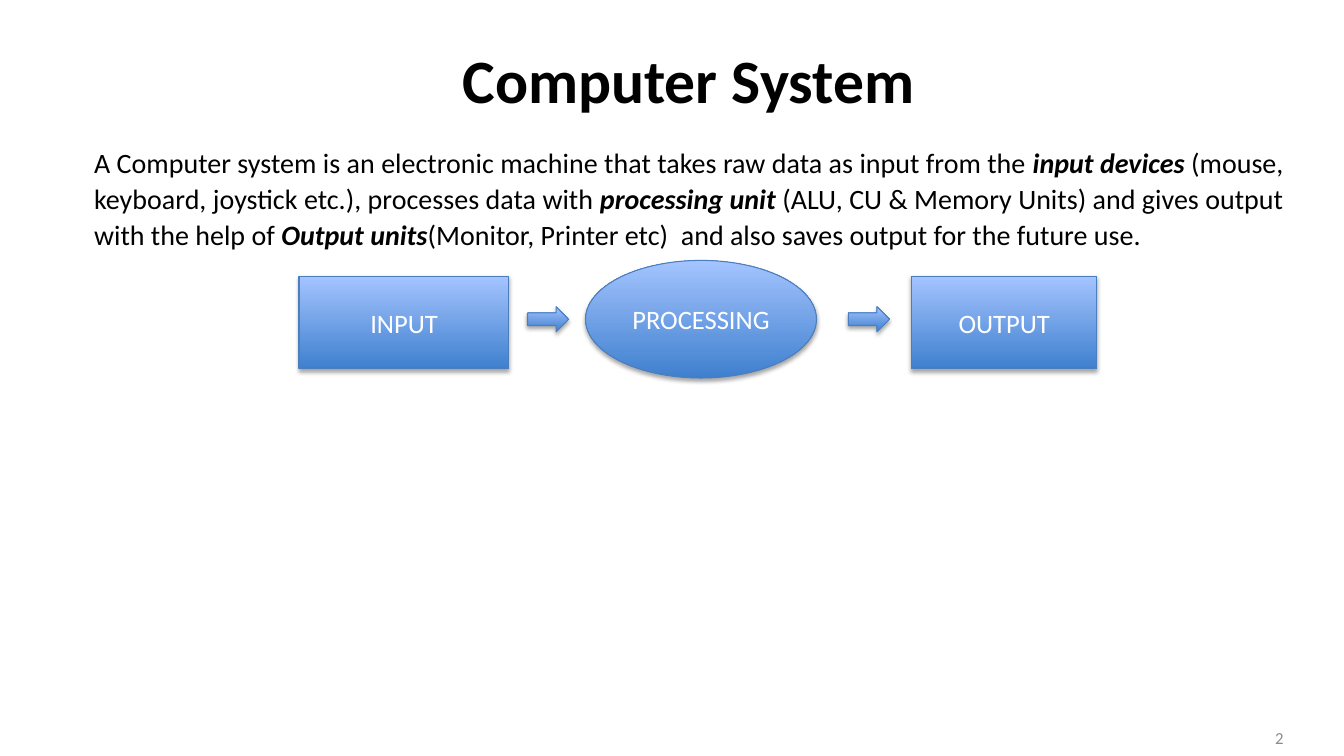
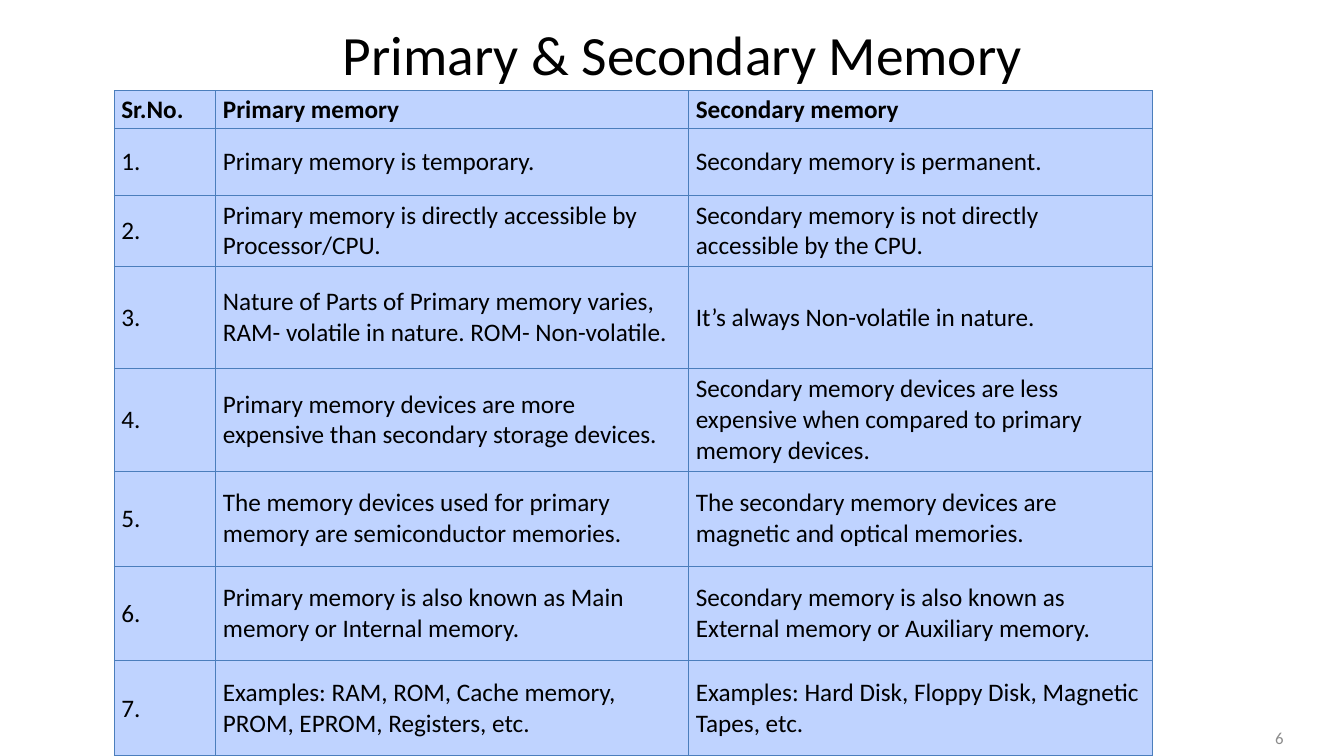
from dataclasses import dataclass

import pptx
import pptx.dml.color
import pptx.enum.shapes
import pptx.enum.text
import pptx.oxml
import pptx.oxml.ns
import pptx.util

Pt = pptx.util.Pt
ShapeKind = pptx.enum.shapes.MSO_SHAPE
Align = pptx.enum.text.PP_ALIGN
Anchor = pptx.enum.text.MSO_ANCHOR

# Shared look: a slide of 16 columns by 9 rows, with square grid units
SLIDE_WIDTH, SLIDE_HEIGHT = pptx.util.Inches(13.333), pptx.util.Inches(7.5)
COLUMNS, ROWS = 16, 9
MARGIN_COLUMN, CONTENT_COLUMNS = 1, 14.4
FONT = "Calibri"
BLACK, WHITE, GREY = "000000", "FFFFFF", "8C8C8C"
LINE_BLUE, DARK_BLUE, LIGHT_BLUE, CELL_BLUE = "4B7EBC", "3F80CE", "A4C4FF", "BFD3FF"
LINE_WIDTH = Pt(0.75)


@dataclass(frozen=True)
class Area:
    """A place on the grid, in columns and rows."""
    column: float
    row: float
    columns: float
    rows: float

    def box(self) -> tuple[int, int, int, int]:
        return (across(self.column), down(self.row),
                across(self.columns), down(self.rows))


@dataclass(frozen=True)
class FlowPart:
    kind: ShapeKind
    area: Area
    label: str = ""


@dataclass(frozen=True)
class Phrase:
    text: str
    strong: bool = False


TITLE_AREA = Area(MARGIN_COLUMN, 0.22, CONTENT_COLUMNS, 1.43)
LOW_TITLE_AREA = Area(MARGIN_COLUMN, 0.18, CONTENT_COLUMNS, 0.91)
BODY_AREA = Area(MARGIN_COLUMN, 1.64, CONTENT_COLUMNS, 6.22)
NUMBER_AREA = Area(11.67, 8.54, 3.73, 0.48)

DEFINITION = [
    Phrase("A Computer system is an electronic machine that takes raw data as input from the "),
    Phrase("input devices ", True),
    Phrase("(mouse, keyboard, joystick etc.), processes data with "),
    Phrase("processing unit ", True),
    Phrase("(ALU, CU & Memory Units) and gives output with the help of "),
    Phrase("Output units", True),
    Phrase("(Monitor, Printer etc)  and also saves output for the future use. "),
]

FLOW = [
    FlowPart(ShapeKind.RECTANGLE, Area(3.56, 3.29, 2.5, 1.1), "INPUT"),
    FlowPart(ShapeKind.RIGHT_ARROW, Area(6.28, 3.65, 0.49, 0.3)),
    FlowPart(ShapeKind.OVAL, Area(6.97, 3.1, 2.75, 1.4), "PROCESSING"),
    FlowPart(ShapeKind.RIGHT_ARROW, Area(10.1, 3.65, 0.49, 0.3)),
    FlowPart(ShapeKind.RECTANGLE, Area(10.85, 3.29, 2.21, 1.1), "OUTPUT"),
]

TABLE_COLUMN, TABLE_ROW = 1.36, 1.08
TABLE_WIDTHS = [1.21, 5.63, 5.52]
TABLE_HEIGHTS = [0.45, 0.8, 0.84, 1.22, 1.22, 1.13, 1.13, 1.13]
TABLE_HEADER = ("Sr.No.", "Primary memory", "Secondary memory")
COMPARISON = [
    ("Primary memory is temporary.",
     "Secondary memory is permanent."),
    ("Primary memory is directly accessible by Processor/CPU.",
     "Secondary memory is not directly accessible by the CPU."),
    ("Nature of Parts of Primary memory varies, RAM- volatile in nature. ROM- Non-volatile.",
     "It’s always Non-volatile in nature."),
    ("Primary memory devices are more expensive than secondary storage devices.",
     "Secondary memory devices are less expensive when compared to primary memory devices."),
    ("The memory devices used for primary memory are semiconductor memories.",
     "The secondary memory devices are magnetic and optical memories."),
    ("Primary memory is also known as Main memory or Internal memory.",
     "Secondary memory is also known as External memory or Auxiliary memory."),
    ("Examples: RAM, ROM, Cache memory, PROM, EPROM, Registers, etc.",
     "Examples: Hard Disk, Floppy Disk, Magnetic Tapes, etc."),
]


# Helpers
def across(columns: float) -> int:
    return round(SLIDE_WIDTH * columns / COLUMNS)


def down(rows: float) -> int:
    return round(SLIDE_HEIGHT * rows / ROWS)


def color(hex_string: str) -> pptx.dml.color.RGBColor:
    return pptx.dml.color.RGBColor.from_string(hex_string)


def xml(markup: str):
    """Parse one drawing element, given without its closing bracket's namespace."""
    head, rest = markup.split(" ", 1)
    return pptx.oxml.parse_xml(f"{head} {pptx.oxml.ns.nsdecls('a')} {rest}")


def place(shape, area: Area) -> None:
    shape.left, shape.top, shape.width, shape.height = area.box()


def format_paragraph(paragraph, size: float, hex_string: str,
                     bold: bool = False, align: Align = Align.LEFT) -> None:
    paragraph.alignment = align
    for run in paragraph.runs:
        run.font.name, run.font.size, run.font.bold = FONT, Pt(size), bold
        run.font.color.rgb = color(hex_string)


def add_slide(presentation, layout: int, title: str, title_area: Area,
              title_size: float, number: str, bold: bool = False):
    """Add a slide with its title and its page number."""
    slide = presentation.slides.add_slide(presentation.slide_layouts[layout])
    place(slide.shapes.title, title_area)
    frame = slide.shapes.title.text_frame
    frame.text = title
    frame.auto_size = pptx.enum.text.MSO_AUTO_SIZE.NONE
    format_paragraph(frame.paragraphs[0], title_size, BLACK, bold, Align.CENTER)

    frame = slide.shapes.add_textbox(*NUMBER_AREA.box()).text_frame
    frame.word_wrap = True
    frame.vertical_anchor = Anchor.MIDDLE
    frame.text = number
    format_paragraph(frame.paragraphs[0], 12, GREY, align=Align.RIGHT)
    return slide


def fill_body(body, phrases: list[Phrase]) -> None:
    place(body, BODY_AREA)
    body.text_frame.auto_size = pptx.enum.text.MSO_AUTO_SIZE.NONE
    paragraph = body.text_frame.paragraphs[0]
    for phrase in phrases:
        paragraph.add_run().text = phrase.text
    format_paragraph(paragraph, 20, BLACK, align=Align.JUSTIFY)
    for run, phrase in zip(paragraph.runs, phrases):
        run.font.bold = run.font.italic = phrase.strong
    paragraph.line_spacing = 1.07
    paragraph.space_after = Pt(8)
    properties = paragraph._p.get_or_add_pPr()
    properties.set("marL", "0")
    properties.set("indent", "0")
    properties.append(xml("<a:buNone />"))


def add_flow_part(slide, part: FlowPart) -> None:
    shape = slide.shapes.add_shape(part.kind, *part.area.box())
    shape.fill.gradient()
    shape.fill.gradient_angle = 90
    for stop, hex_string in zip(shape.fill.gradient_stops, (DARK_BLUE, LIGHT_BLUE)):
        stop.color.rgb = color(hex_string)
    shape.line.color.rgb = color(LINE_BLUE)
    shape.line.width = LINE_WIDTH
    # Soft shadow straight below the shape
    shape.shadow.inherit = False
    effects = shape._element.spPr.find(pptx.oxml.ns.qn("a:effectLst"))
    effects.append(xml(
        f'<a:outerShdw blurRad="{Pt(3.1)}" dist="{Pt(1.8)}" dir="5400000" rotWithShape="0">'
        f'<a:srgbClr val="{BLACK}"><a:alpha val="35000"/></a:srgbClr></a:outerShdw>'))
    if part.label:
        shape.text_frame.text = part.label
        shape.text_frame.vertical_anchor = Anchor.MIDDLE
        format_paragraph(shape.text_frame.paragraphs[0], 19, WHITE, align=Align.CENTER)


def format_cell(cell, text: str, bold: bool) -> None:
    cell.text = text
    cell.vertical_anchor = Anchor.MIDDLE
    cell.margin_left = cell.margin_right = pptx.util.Inches(0.07)
    cell.margin_top = cell.margin_bottom = pptx.util.Inches(0.03)
    format_paragraph(cell.text_frame.paragraphs[0], 18, BLACK, bold)
    properties = cell._tc.get_or_add_tcPr()
    for side in "LRTB":
        properties.append(xml(
            f'<a:ln{side} w="{LINE_WIDTH}"><a:solidFill><a:srgbClr val="{LINE_BLUE}"/>'
            f'</a:solidFill></a:ln{side}>'))
    cell.fill.solid()
    cell.fill.fore_color.rgb = color(CELL_BLUE)


def add_comparison(slide) -> None:
    rows = [TABLE_HEADER] + [(f"{number}.", *pair)
                             for number, pair in enumerate(COMPARISON, 1)]
    area = Area(TABLE_COLUMN, TABLE_ROW, sum(TABLE_WIDTHS), sum(TABLE_HEIGHTS))
    table = slide.shapes.add_table(len(rows), len(TABLE_WIDTHS), *area.box()).table
    table.first_row = table.horz_banding = False
    for column, width in zip(table.columns, TABLE_WIDTHS):
        column.width = across(width)
    for row, height in zip(table.rows, TABLE_HEIGHTS):
        row.height = down(height)
    for row_index, texts in enumerate(rows):
        for column_index, text in enumerate(texts):
            format_cell(table.cell(row_index, column_index), text, row_index == 0)


def main() -> None:
    presentation = pptx.Presentation()
    presentation.slide_width, presentation.slide_height = SLIDE_WIDTH, SLIDE_HEIGHT

    # Computer system: definition and flow
    slide = add_slide(presentation, 1, "Computer System", TITLE_AREA, 44, "2", bold=True)
    fill_body(slide.placeholders[1], DEFINITION)
    for part in FLOW:
        add_flow_part(slide, part)

    # Memory comparison table
    slide = add_slide(presentation, 5, "Primary & Secondary Memory ",
                      LOW_TITLE_AREA, 39.6, "6")
    add_comparison(slide)

    presentation.save("out.pptx")


if __name__ == "__main__":
    main()
